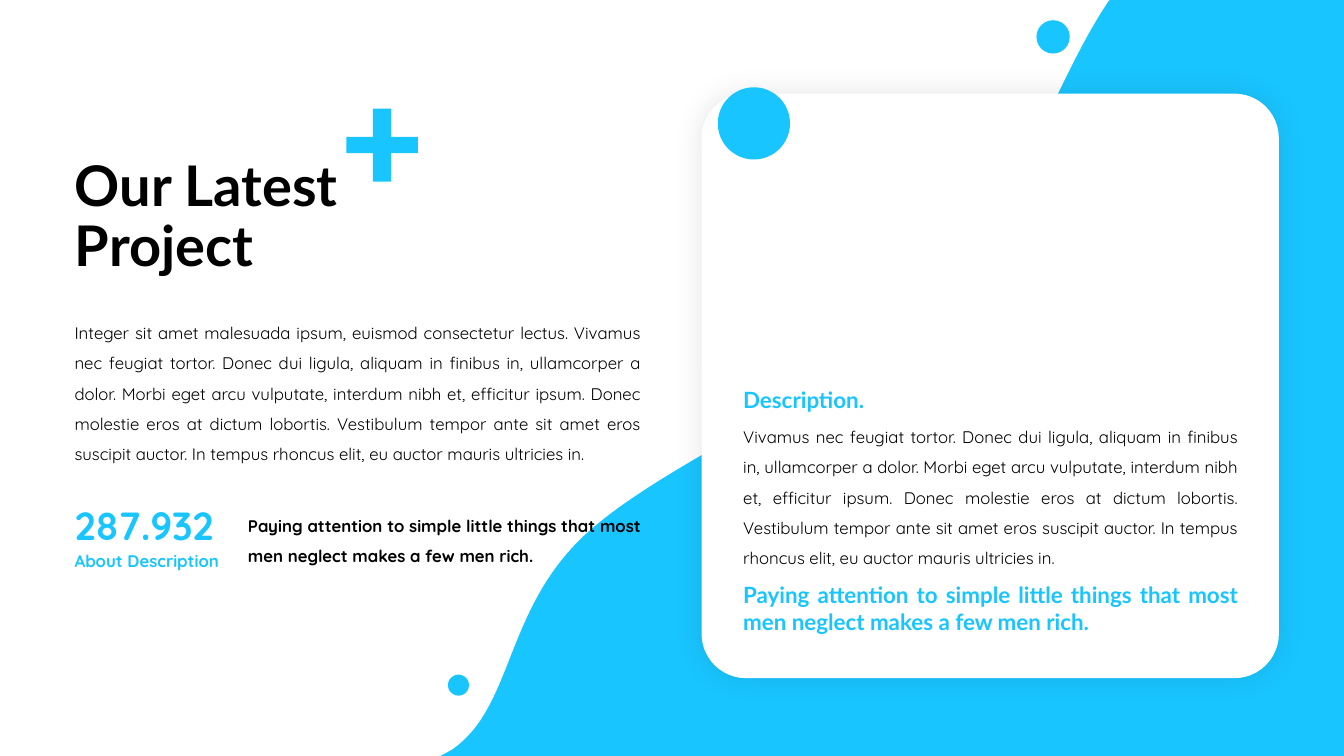
import pptx
import pptx.dml.color
import pptx.enum.shapes
import pptx.enum.text
import pptx.oxml
import pptx.oxml.ns
import pptx.util
from dataclasses import dataclass
from lxml import etree
from pptx.util import Cm

BLUE = "19C5FF"
BLACK = "000000"
WHITE = "FFFFFF"
SHAPE = pptx.enum.shapes.MSO_SHAPE
ALIGN = pptx.enum.text.PP_ALIGN
ANCHOR = pptx.enum.text.MSO_ANCHOR
AUTO_SIZE = pptx.enum.text.MSO_AUTO_SIZE

Point = tuple[float, float]

FILLER = (
    "Vivamus nec feugiat tortor. Donec dui ligula, aliquam in finibus in, "
    "ullamcorper a dolor. Morbi eget arcu vulputate, interdum nibh et, efficitur ipsum. "
    "Donec molestie eros at dictum lobortis. Vestibulum tempor ante sit amet eros "
    "suscipit auctor. In tempus rhoncus elit, eu auctor mauris ultricies in."
)
INTRO = "Integer sit amet malesuada ipsum, euismod consectetur lectus. " + FILLER
SLOGAN = "Paying attention to simple little things that most men neglect makes a few men rich."


@dataclass
class Label:
    text: str
    left: float
    top: float
    width: float
    height: float
    size: float = 12
    font: str = "Quicksand"
    color: str = BLACK
    bold: bool = False
    align: ALIGN = ALIGN.JUSTIFY
    anchor: ANCHOR = ANCHOR.TOP
    spacing: float = 1.0
    grow: bool = True


@dataclass
class Circle:
    left: float
    top: float
    diameter: float


@dataclass
class Curve:
    first_control: Point
    second_control: Point
    end: Point


LABELS = [
    Label("Description.", 18.48, 9.6, 6.58, 0.94, 16, "Lato", BLUE, True,
          ALIGN.LEFT, ANCHOR.MIDDLE),
    Label(FILLER, 18.48, 10.38, 12.98, 4.01, spacing=1.5),
    Label(SLOGAN, 18.48, 14.52, 12.98, 1.63, 16, "Lato", BLUE, True),
    Label(INTRO, 1.63, 7.76, 14.78, 4.11, spacing=1.5),
    Label("About Description", 1.63, 13.74, 4.37, 0.76, color=BLUE, bold=True,
          anchor=ANCHOR.MIDDLE),
    Label("287.932", 1.63, 12.5, 5.84, 1.45, 28, color=BLUE, bold=True,
          anchor=ANCHOR.MIDDLE),
    Label(SLOGAN, 6, 12.62, 10.41, 1.8, bold=True, spacing=1.5),
    Label("Our Latest Project", 1.64, 3.66, 11.73, 3.68, 40, "Lato", BLACK, True,
          ALIGN.LEFT, ANCHOR.MIDDLE, 0.9, False),
]

CIRCLES = [
    Circle(26.12, 0.51, 0.84),
    Circle(11.29, 17, 0.53),
    Circle(18.09, 2.2, 1.82),
]

WAVE_CORNERS = [(27.97, 0), (33.87, 0), (33.87, 19.05), (11.1, 19.05), (11.38, 18.9)]
WAVE_CURVES = [
    Curve((12.95, 17.83), (12.7, 15.39), (14.73, 13.49)),
    Curve((16.79, 11.58), (21.23, 9.91), (23.62, 7.49)),
    Curve((25.53, 5.51), (26.59, 2.01), (27.94, 0.03)),
]


def rgb(color: str) -> pptx.dml.color.RGBColor:
    return pptx.dml.color.RGBColor.from_string(color)


def paint(shape, color: str) -> None:
    shape.shadow.inherit = False
    shape.fill.solid()
    shape.fill.fore_color.rgb = rgb(color)
    shape.line.fill.background()


def add_outline(slide, points: list[Point], color: str):
    corners = [(Cm(x), Cm(y)) for x, y in points]
    builder = slide.shapes.build_freeform(*corners[0])
    builder.add_line_segments(corners[1:], close=True)
    outline = builder.convert_to_shape()
    paint(outline, color)
    return outline


def add_wave(slide) -> None:
    ends = [curve.end for curve in WAVE_CURVES]
    wave = add_outline(slide, WAVE_CORNERS + ends, BLUE)
    qualified = pptx.oxml.ns.qn
    lines = list(wave.element.iter(qualified("a:lnTo")))
    first_curve = len(WAVE_CORNERS) - 1
    segments = lines[first_curve:first_curve + len(WAVE_CURVES)]
    for segment, curve in zip(segments, WAVE_CURVES):
        segment.tag = qualified("a:cubicBezTo")
        for index, (x, y) in enumerate((curve.first_control, curve.second_control)):
            control = etree.Element(qualified("a:pt"))
            control.set("x", str(Cm(x) - wave.left))
            control.set("y", str(Cm(y) - wave.top))
            segment.insert(index, control)


def add_plus(slide) -> None:
    x0, x1, x2, x3 = 8.73, 9.4, 9.86, 10.53
    y0, y1, y2, y3 = 2.74, 3.45, 3.86, 4.58
    add_outline(slide, [
        (x1, y0), (x2, y0), (x2, y1), (x3, y1), (x3, y2), (x2, y2),
        (x2, y3), (x1, y3), (x1, y2), (x0, y2), (x0, y1), (x1, y1),
    ], BLUE)


def add_card(slide) -> None:
    card = slide.shapes.add_shape(
        SHAPE.ROUNDED_RECTANGLE, Cm(17.68), Cm(2.36), Cm(14.55), Cm(14.73))
    card.adjustments[0] = 0.077
    paint(card, WHITE)
    effects = card.element.spPr.find(pptx.oxml.ns.qn("a:effectLst"))
    effects.append(pptx.oxml.parse_xml(
        f'<a:outerShdw {pptx.oxml.ns.nsdecls("a")} blurRad="{pptx.util.Pt(20)}" '
        f'dist="0" dir="0" algn="ctr" rotWithShape="0">'
        f'<a:srgbClr val="{BLACK}"><a:alpha val="10000"/></a:srgbClr></a:outerShdw>'))


def add_label(slide, label: Label) -> None:
    box = slide.shapes.add_textbox(
        Cm(label.left), Cm(label.top), Cm(label.width), Cm(label.height))
    frame = box.text_frame
    frame.word_wrap = True
    frame.auto_size = AUTO_SIZE.SHAPE_TO_FIT_TEXT if label.grow else AUTO_SIZE.NONE
    frame.vertical_anchor = label.anchor
    paragraph = frame.paragraphs[0]
    paragraph.text = label.text
    paragraph.alignment = label.align
    paragraph.line_spacing = label.spacing
    paragraph.font.size = pptx.util.Pt(label.size)
    paragraph.font.name = label.font
    paragraph.font.bold = label.bold
    paragraph.font.color.rgb = rgb(label.color)


def add_circle(slide, circle: Circle) -> None:
    shape = slide.shapes.add_shape(
        SHAPE.OVAL, Cm(circle.left), Cm(circle.top),
        Cm(circle.diameter), Cm(circle.diameter))
    paint(shape, BLUE)


def main() -> None:
    presentation = pptx.Presentation()
    presentation.slide_width = Cm(33.87)
    presentation.slide_height = Cm(19.05)
    slide = presentation.slides.add_slide(presentation.slide_layouts[6])
    add_wave(slide)
    add_plus(slide)
    add_card(slide)
    for label in LABELS:
        add_label(slide, label)
    for circle in CIRCLES:
        add_circle(slide, circle)
    presentation.save("out.pptx")


if __name__ == "__main__":
    main()
